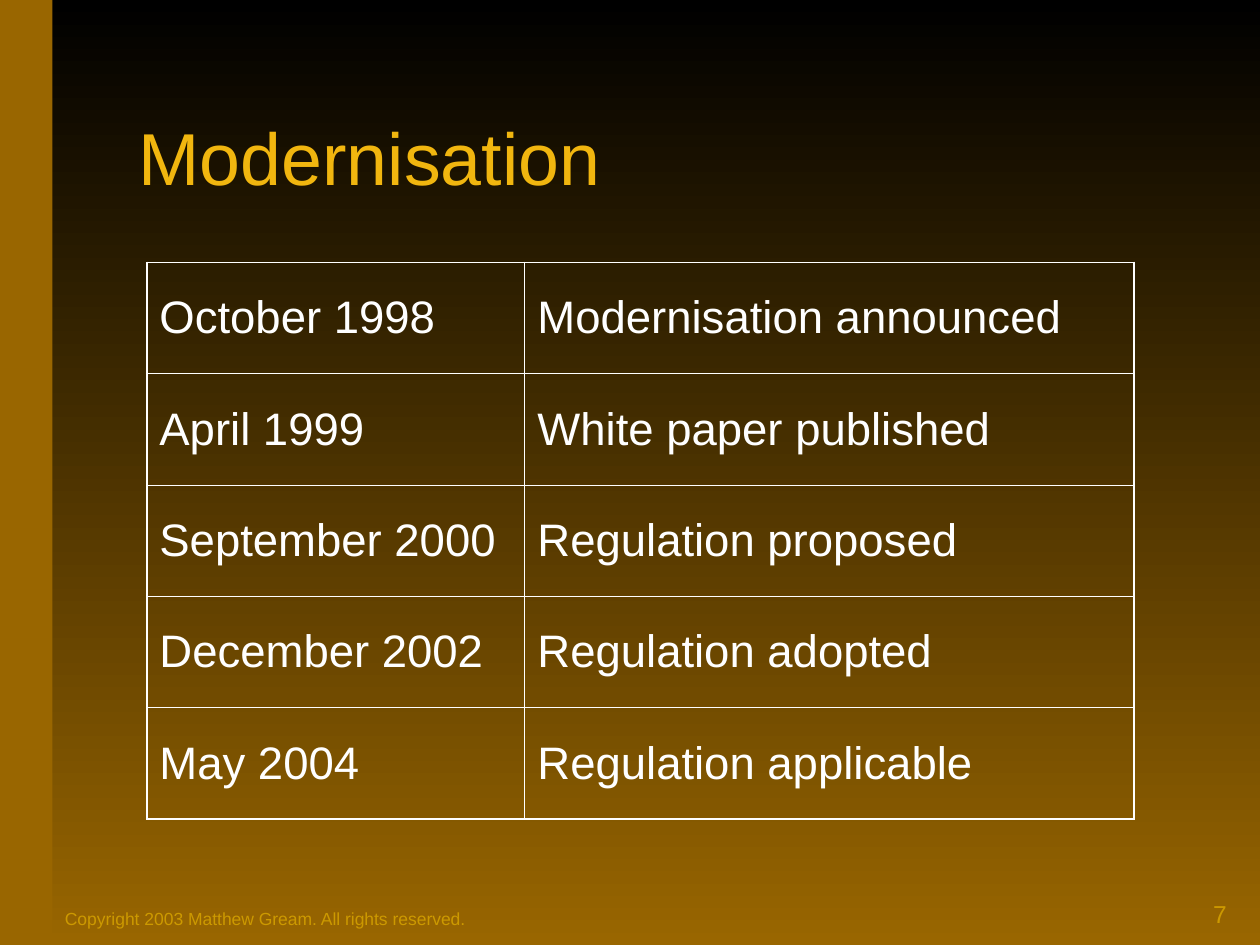
from dataclasses import dataclass

from lxml import etree
from pptx import Presentation
from pptx.dml.color import RGBColor
from pptx.enum.shapes import MSO_SHAPE
from pptx.enum.text import MSO_ANCHOR, PP_ALIGN
from pptx.oxml.ns import qn
from pptx.util import Cm, Pt

LEFT, RIGHT = PP_ALIGN.LEFT, PP_ALIGN.RIGHT
MIDDLE, BOTTOM = MSO_ANCHOR.MIDDLE, MSO_ANCHOR.BOTTOM
RECTANGLE = MSO_SHAPE.RECTANGLE

FONT = "Arial"
COLOURS = {
    "black": "000000",
    "brown": "996600",
    "title": "F1B60F",
    "text": "FFFFFF",
    "footer": "CC9900",
}
MILESTONES = [
    ("October 1998", "Modernisation announced"),
    ("April 1999", "White paper published"),
    ("September 2000", "Regulation proposed"),
    ("December 2002", "Regulation adopted"),
    ("May 2004", "Regulation applicable"),
]
OUTER_LINE, INNER_LINE = Pt(1.08), Pt(0.45)


@dataclass
class Box:
    """A region of the slide, in centimetres."""
    left: float
    top: float
    width: float
    height: float

    def lengths(self):
        return Cm(self.left), Cm(self.top), Cm(self.width), Cm(self.height)


def colour(name):
    return RGBColor.from_string(COLOURS[name])


def write_text(frame, text, *, size, ink, align=LEFT, anchor=MIDDLE,
               before=0, line_spacing=None):
    frame.word_wrap = True
    frame.vertical_anchor = anchor
    para = frame.paragraphs[0]
    para.alignment = align
    para.space_before = Pt(before)
    if line_spacing:
        para.line_spacing = line_spacing
    span = para.add_run()
    span.text = text
    span.font.name = FONT
    span.font.size = Pt(size)
    span.font.color.rgb = colour(ink)


def draw_background(page, bar_box):
    # Gradient from black at the top to brown at the bottom
    fill = page.background.fill
    fill.gradient()
    fill.gradient_angle = 270
    for stop, name, position in zip(fill.gradient_stops, ("black", "brown"), (0, 1)):
        stop.color.rgb = colour(name)
        stop.position = position
    # Side bar
    bar = page.shapes.add_shape(RECTANGLE, *bar_box.lengths())
    bar.shadow.inherit = False
    bar.fill.solid()
    bar.fill.fore_color.rgb = colour("brown")
    bar.line.fill.background()


def place_title(page, box, text):
    title = page.shapes.title
    title.left, title.top, title.width, title.height = box.lengths()
    write_text(title.text_frame, text, size=42, ink="title", line_spacing=0.85)


def set_borders(cell, widths):
    """Draw the cell's lines, given as widths for left, right, top, bottom."""
    properties = cell._tc.get_or_add_tcPr()
    for index, (side, width) in enumerate(zip("LRTB", widths)):
        line = etree.Element(qn(f"a:ln{side}"), w=str(width))
        fill = etree.SubElement(line, qn("a:solidFill"))
        etree.SubElement(fill, qn("a:srgbClr"), val=COLOURS["text"])
        properties.insert(index, line)


def place_timeline(page, box, rows, date_width):
    shape = page.shapes.add_table(len(rows), 2, *box.lengths())
    table = shape.table
    table.first_row = table.horz_banding = False
    table.columns[0].width = Cm(date_width)
    table.columns[1].width = Cm(box.width - date_width)
    last = len(rows) - 1
    for row, texts in enumerate(rows):
        for column, text in enumerate(texts):
            cell = table.cell(row, column)
            cell.fill.background()
            cell.vertical_anchor = MIDDLE
            write_text(cell.text_frame, text, size=26, ink="text", before=19.5)
            on_edge = (column == 0, column == 1, row == 0, row == last)
            set_borders(cell, [OUTER_LINE if edge else INNER_LINE for edge in on_edge])


def place_footer(page, box, text, **text_format):
    footer = page.shapes.add_textbox(*box.lengths())
    write_text(footer.text_frame, text, ink="footer", anchor=BOTTOM, **text_format)


def main():
    deck = Presentation()
    deck.slide_width, deck.slide_height = Cm(25.4), Cm(19.05)
    page = deck.slides.add_slide(deck.slide_layouts[5])

    draw_background(page, Box(0, 0, 1.06, 19.05))
    place_title(page, Box(2.54, 1.69, 20.96, 3.18), "Modernisation")
    place_timeline(page, Box(2.96, 5.29, 19.9, 11.22), MILESTONES, date_width=7.62)
    place_footer(page, Box(1.06, 17.36, 17.57, 1.49),
                 "Copyright 2003 Matthew Gream. All rights reserved.",
                 size=10, before=6.2)
    place_footer(page, Box(18.63, 18.2, 6.35, 0.64), "7",
                 size=14, before=3.5, align=RIGHT)

    deck.save("out.pptx")


if __name__ == "__main__":
    main()
